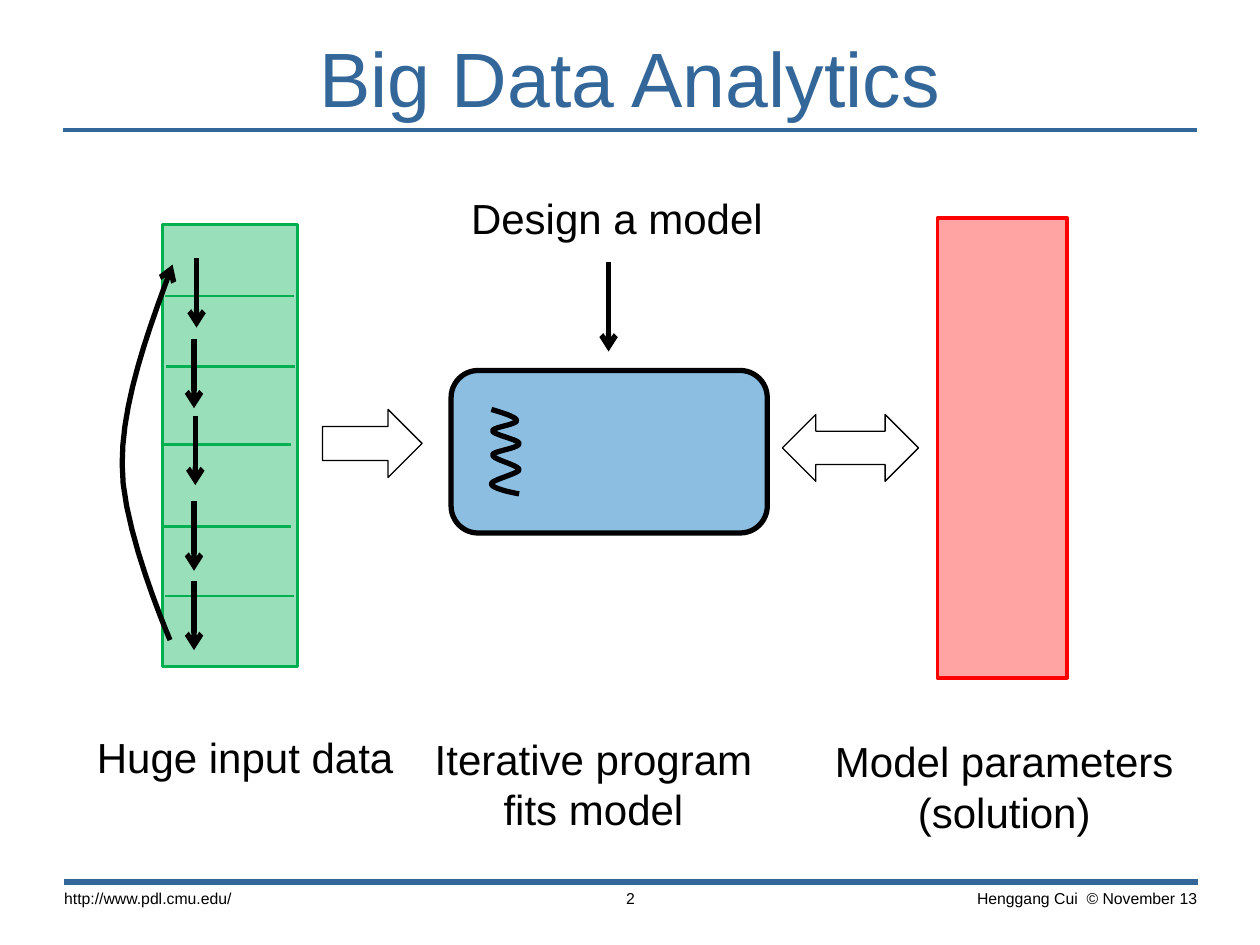
from lxml.etree import SubElement
from pptx import Presentation
from pptx.dml.color import RGBColor
from pptx.enum.shapes import MSO_CONNECTOR, MSO_SHAPE
from pptx.enum.text import MSO_ANCHOR, PP_ALIGN
from pptx.oxml.ns import qn
from pptx.util import Pt

PX = 9144
BLACK, WHITE, BLUE = "000000", "FFFFFF", "336699"
GREEN, RED, SKY = "00B050", "FF0000", "0070C0"
LEFT, CENTER, RIGHT = PP_ALIGN.LEFT, PP_ALIGN.CENTER, PP_ALIGN.RIGHT


def color(value):
    return RGBColor.from_string(value)


def emu(*lengths):
    return [round(length * PX) for length in lengths]


def bezier(points, steps=10):
    curve = []
    for first in range(0, len(points) - 1, 3):
        a, b, c, d = points[first:first + 4]
        for step in range(1, steps + 1):
            t = step / steps
            u = 1 - t
            weights = u ** 3, 3 * u * u * t, 3 * u * t * t, t ** 3
            curve.append(tuple(sum(w * p[axis] for w, p in zip(weights, (a, b, c, d)))
                               for axis in (0, 1)))
    return curve


class SlideBuilder:
    """Draws styled elements on the current slide, in px of 1/100 inch."""

    font = "Arial"

    def __init__(self, presentation):
        self.slide = presentation.slides.add_slide(presentation.slide_layouts[6])
        self.shapes = self.slide.shapes

    def start_group(self):
        self.shapes = self.slide.shapes.add_group_shape().shapes

    def end_group(self):
        self.shapes = self.slide.shapes

    def stroke(self, shape, line, width, **ends):
        shape.line.color.rgb = color(line)
        shape.line.width = Pt(width)
        for end, kind in ends.items():
            SubElement(shape.line._get_or_add_ln(), qn(f"a:{end}"), type=kind)

    def box(self, kind, at, fill, line, width, opacity=100):
        shape = self.shapes.add_shape(kind, *emu(*at))
        shape.shadow.inherit = False
        shape.fill.solid()
        shape.fill.fore_color.rgb = color(fill)
        if opacity < 100:
            tint = shape._element.spPr.find(f"{qn('a:solidFill')}/{qn('a:srgbClr')}")
            SubElement(tint, qn("a:alpha"), val=str(opacity * 1000))
        self.stroke(shape, line, width)

    def line(self, start, end, line, width, **ends):
        connector = self.shapes.add_connector(MSO_CONNECTOR.STRAIGHT, *emu(*start, *end))
        self.stroke(connector, line, width, **ends)
        SubElement(connector._element.spPr, qn("a:effectLst"))

    def arrow(self, x, top, length):
        self.line((x, top), (x, top + length), BLACK, 3, tailEnd="arrow")

    def curve(self, points, **ends):
        builder = self.shapes.build_freeform(*emu(*points[0]))
        builder.add_line_segments([emu(*point) for point in bezier(points)], close=False)
        shape = builder.convert_to_shape()
        shape.shadow.inherit = False
        shape.fill.background()
        self.stroke(shape, BLACK, 3, **ends)

    def text(self, at, text, size=24, align=LEFT, fill=BLACK, inset=(10, 5),
             anchor=MSO_ANCHOR.TOP):
        frame = self.shapes.add_textbox(*emu(*at)).text_frame
        frame.word_wrap = True
        frame.vertical_anchor = anchor
        frame.margin_left = frame.margin_right = inset[0] * PX
        frame.margin_top = frame.margin_bottom = inset[1] * PX
        frame.text = text
        for paragraph in frame.paragraphs:
            paragraph.alignment = align
            for run in paragraph.runs:
                run.font.name = self.font
                run.font.size = Pt(size)
                run.font.color.rgb = color(fill)

    def footer(self, at, text, align):
        self.text(at, text, 9, align, inset=(11, 6))


def main():
    presentation = Presentation()
    presentation.slide_width, presentation.slide_height = emu(1000, 750)
    builder = SlideBuilder(presentation)

    builder.line((50, 103), (950, 103), BLUE, 2)
    builder.line((51, 700), (951, 700), BLUE, 3.5)
    builder.text((0, 23, 1000, 75), "Big Data Analytics", 44, CENTER, BLUE,
                 anchor=MSO_ANCHOR.MIDDLE)
    builder.footer((40, 699, 250, 42), "http://www.pdl.cmu.edu/", LEFT)
    builder.footer((403, 699, 195, 23), "2", CENTER)
    builder.footer((707, 699, 254, 42), "Henggang Cui  © November 13", RIGHT)

    builder.box(MSO_SHAPE.ROUNDED_RECTANGLE, (358, 294, 251, 129), SKY, BLACK, 3, 45)
    builder.text((317, 577, 308, 91), "Iterative program\vfits model", align=CENTER)
    builder.text((364, 148, 260, 50), "Design a model")
    builder.arrow(483, 208, 71)

    builder.box(MSO_SHAPE.RECTANGLE, (744, 173, 103, 365), RED, RED, 2, 36)
    builder.text((651, 579, 292, 91), "Model parameters\n(solution)", align=CENTER)
    builder.box(MSO_SHAPE.RIGHT_ARROW, (256, 325, 79, 54), WHITE, BLACK, 0.75)
    builder.text((67, 576, 258, 50), "Huge input data")

    builder.start_group()
    builder.box(MSO_SHAPE.RECTANGLE, (129, 178, 107, 351), GREEN, GREEN, 2, 40)
    for x, y in ((131, 235), (132, 291), (129, 353), (129, 418), (131, 473)):
        builder.line((x, y), (x + 102, y), GREEN, 1.5)
    builder.end_group()

    builder.curve([
        (390, 325), (400, 328), (410, 331), (410, 334),
        (410, 337), (391, 339), (391, 342),
        (391, 345), (412, 349), (412, 352),
        (412, 356), (391, 358), (391, 361),
        (391, 365), (412, 369), (412, 373),
        (411, 376), (390, 381), (390, 384),
        (390, 387), (401, 390), (412, 392)])

    builder.start_group()
    builder.curve([(137, 210), (117, 264), (97, 319), (97, 368),
                   (96, 418), (135, 508), (135, 508)], headEnd="arrow")
    for x, top in ((156, 205), (154, 269), (155, 330), (154, 398), (154, 461)):
        builder.arrow(x, top, 55)
    builder.end_group()

    builder.box(MSO_SHAPE.LEFT_RIGHT_ARROW, (621, 329, 108, 53), WHITE, BLACK, 0.75)
    presentation.save("out.pptx")


if __name__ == "__main__":
    main()
